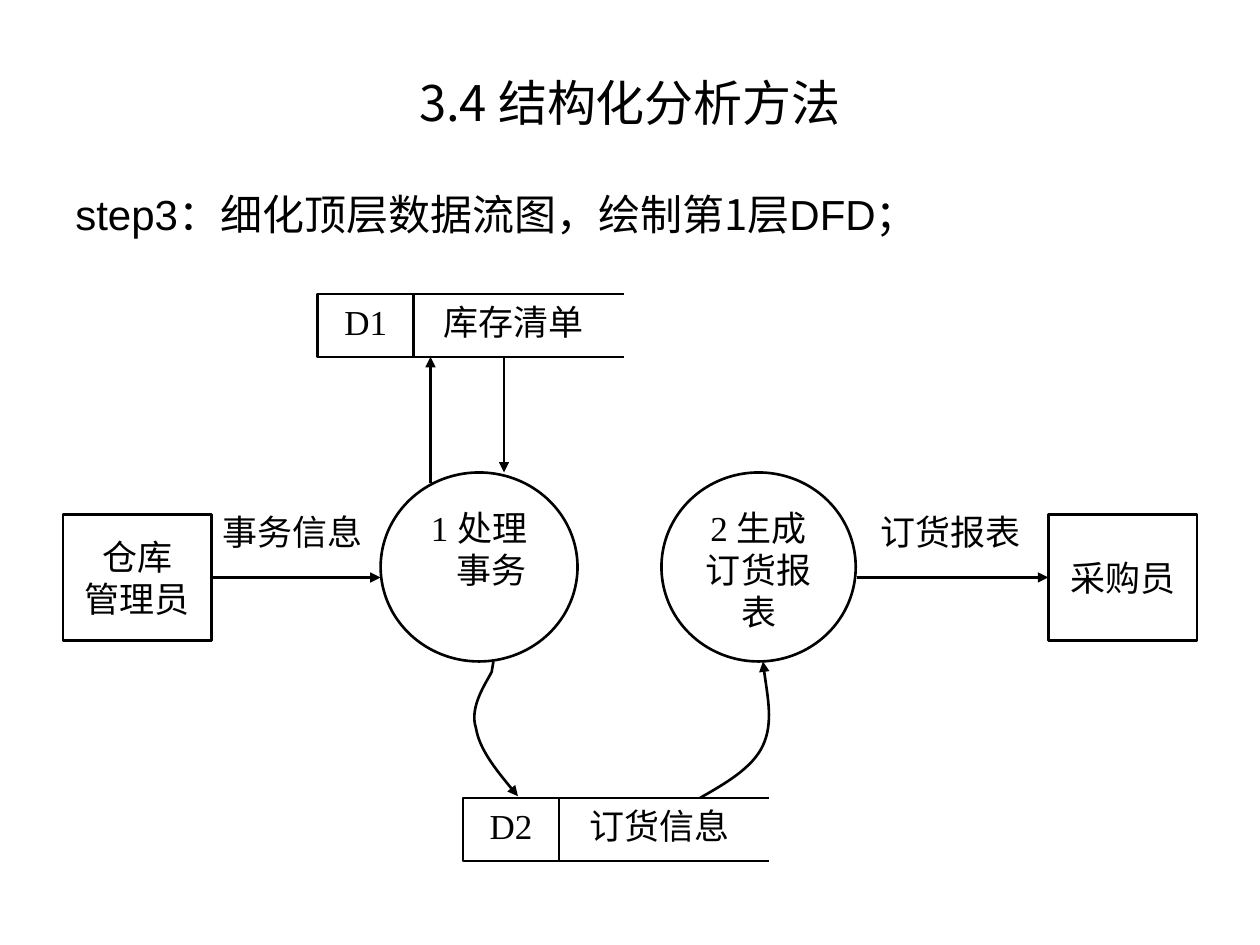
"""Build the slide with the first-level data flow diagram."""
from pptx import Presentation
from pptx.dml.color import RGBColor
from pptx.enum.shapes import MSO_CONNECTOR, MSO_SHAPE
from pptx.enum.text import MSO_ANCHOR, PP_ALIGN
from pptx.oxml.ns import qn
from pptx.util import Pt
from lxml.etree import SubElement

BLACK = RGBColor(0, 0, 0)
WHITE = RGBColor(255, 255, 255)
SERIF, SANS, CHINESE = "Times New Roman", "Arial", "Noto Sans CJK SC"


class Diagram:
    def __init__(self, page, size=20, line_width=1.5):
        self.page = page
        self.size = size
        self.line_width = line_width

    def place(self, box, left, top, width, height):
        box.left, box.top = Pt(left), Pt(top)
        box.width, box.height = Pt(width), Pt(height)

    def add_words(self, box, paragraphs, align, size=None, anchor=MSO_ANCHOR.TOP,
                  wrap=True, indents=(), spacing=1.2):
        size = size or self.size
        frame = box.text_frame
        frame.word_wrap = wrap
        frame.vertical_anchor = anchor
        for index, spans in enumerate(paragraphs):
            para = frame.add_paragraph() if index else frame.paragraphs[0]
            para.alignment = align
            if spacing:
                para.line_spacing = Pt(round(size * spacing))
            if index < len(indents):
                para._p.get_or_add_pPr().set("marL", str(Pt(indents[index])))
            for text, font in spans:
                span = para.add_run()
                span.text = text
                span.font.size = Pt(size)
                span.font.name = font
                span.font.color.rgb = BLACK
                SubElement(span._r.rPr, qn("a:ea"), typeface=CHINESE)

    def title(self, text):
        box = self.page.shapes.title
        self.place(box, 36, 30, 648, 56)
        self.add_words(box, [[(text, CHINESE)]], PP_ALIGN.CENTER, 28,
                       MSO_ANCHOR.MIDDLE, spacing=None)

    def text(self, spans, left, top, width, height, size=None, align=PP_ALIGN.LEFT):
        box = self.page.shapes.add_textbox(Pt(left), Pt(top), Pt(width), Pt(height))
        self.add_words(box, [spans], align, size)

    def label(self, text, left, top, width=101, height=39):
        self.text([(text, SERIF)], left, top, width, height, align=PP_ALIGN.JUSTIFY)

    def shape(self, kind, lines, left, top, width, height, **style):
        box = self.page.shapes.add_shape(kind, Pt(left), Pt(top), Pt(width), Pt(height))
        box.shadow.inherit = False
        box.fill.solid()
        box.fill.fore_color.rgb = WHITE
        self.outline(box)
        self.add_words(box, [[(line, SERIF)] for line in lines], PP_ALIGN.CENTER, **style)

    def entity(self, lines, left):
        self.shape(MSO_SHAPE.RECTANGLE, lines, left, 294, 85, 72,
                   anchor=MSO_ANCHOR.MIDDLE, wrap=False)

    def process(self, lines, left, width, indents=()):
        self.shape(MSO_SHAPE.OVAL, lines, left, 270, width, 108, indents=indents)

    def store(self, code, name, left, top):
        self.label(name, left + 65, top, 120)
        self.shape(MSO_SHAPE.RECTANGLE, [code], left, top, 55, 36)
        self.line((left + 46, top), (left + 175, top))
        self.line((left + 55, top + 36), (left + 175, top + 36))

    def line(self, start, end, arrow=False):
        line = self.page.shapes.add_connector(MSO_CONNECTOR.STRAIGHT, *map(Pt, start + end))
        self.outline(line, arrow)
        SubElement(line._element.spPr, qn("a:effectLst"))

    def curve(self, points):
        builder = self.page.shapes.build_freeform(*points[0], scale=Pt(1))
        builder.add_line_segments(points[1:], close=False)
        shape = builder.convert_to_shape()
        shape.shadow.inherit = False
        shape.fill.background()
        self.outline(shape, True)
        outline = shape._element.spPr.find(".//" + qn("a:path"))
        segments = outline.findall(qn("a:lnTo"))
        for first in range(0, len(segments), 3):
            bezier = SubElement(outline, qn("a:cubicBezTo"))
            for segment in segments[first:first + 3]:
                bezier.append(segment[0])
                outline.remove(segment)

    def outline(self, item, arrow=False):
        item.line.color.rgb = BLACK
        item.line.width = Pt(self.line_width)
        if arrow:
            SubElement(item._element.spPr.find(qn("a:ln")), qn("a:tailEnd"), type="triangle")


def main():
    deck = Presentation()
    deck.slide_width, deck.slide_height = Pt(720), Pt(540)
    diagram = Diagram(deck.slides.add_slide(deck.slide_layouts[5]))

    diagram.title("3.4 结构化分析方法")
    diagram.text([("step3", SANS), ("：细化顶层数据流图，绘制第1层", CHINESE),
                  ("DFD", SANS), ("；", CHINESE)], 36, 104, 648, 72, 24)

    diagram.store("D1", "库存清单", 181.5, 168)
    diagram.store("D2", "订货信息", 264.5, 456)
    diagram.process(["1 处理", "事务"], 217.5, 112.5, indents=(0, 14))
    diagram.process(["2 生成", "订货报表"], 378, 111)
    diagram.entity(["仓库", "管理员"], 36)
    diagram.entity(["采购员"], 599)
    diagram.label("事务信息", 120, 288)
    diagram.label("订货报表", 496, 288)

    for start, end in [((120.5, 330), (217.5, 330)), ((490, 330), (599, 330)),
                       ((288, 204), (288, 270)), ((246, 276), (246, 204))]:
        diagram.line(start, end, arrow=True)
    diagram.curve([(282.5, 378.5), (282.5, 378), (282, 378), (281, 384),
                   (278.5, 390), (268.5, 404), (271.5, 415.5),
                   (274.5, 427.5), (285, 441.5), (296.5, 455)])
    diagram.curve([(399.5, 456), (414.5, 448), (430, 439), (435.5, 426),
                   (441.5, 413), (438.5, 395), (435.5, 378)])

    deck.save("out.pptx")


if __name__ == "__main__":
    main()
